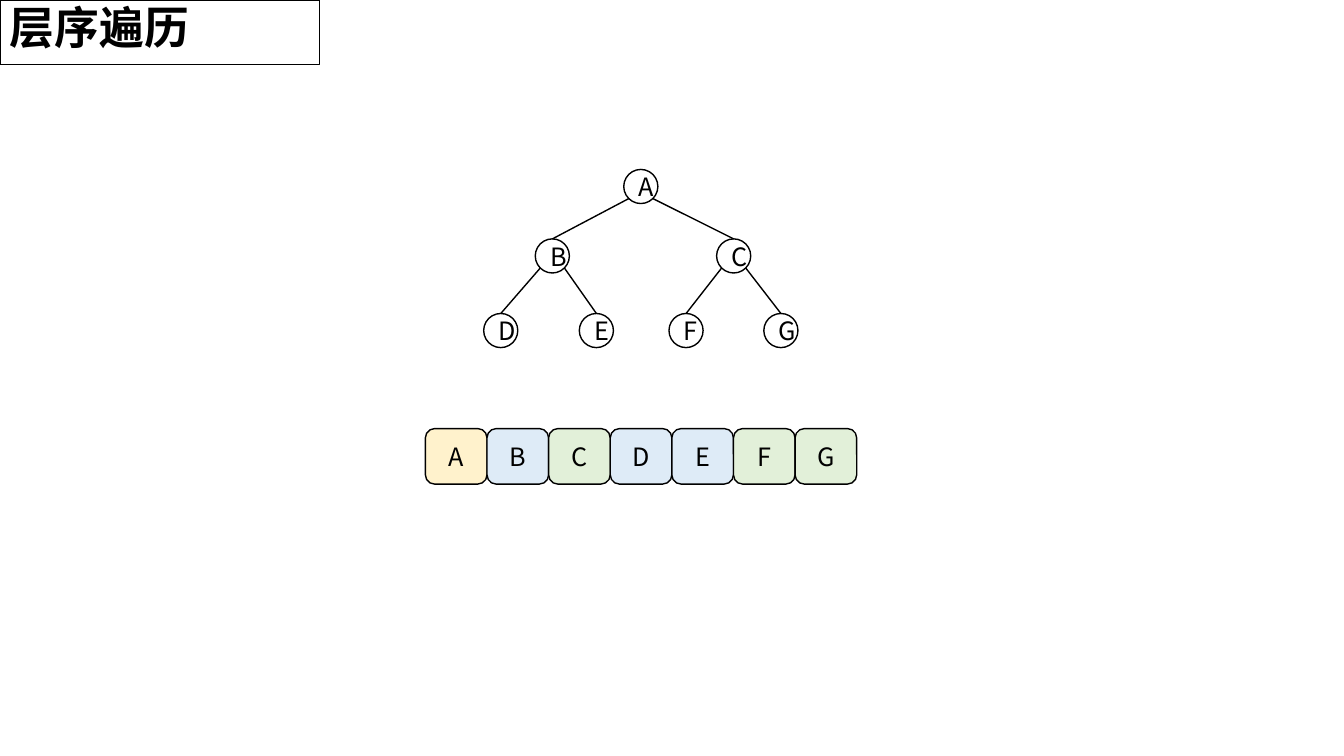
from dataclasses import dataclass

from lxml import etree
from pptx import Presentation
from pptx import util as u
from pptx.dml.color import RGBColor
from pptx.enum import shapes, text
from pptx.oxml.ns import qn


@dataclass(frozen=True)
class Theme:
    font: str = "Noto Sans CJK SC"
    title_size: int = 32
    body_size: int = 18
    ink: str = "000000"
    root: str = "FFF2CC"
    left: str = "DEEBF7"
    right: str = "E2F0D9"
    line_width: float = 1


THEME = Theme()

# Name: (left, top, parent), in cm inside the tree's box
NODES = {
    "A": (3.53, 0, None),
    "B": (1.3, 1.75, "A"),
    "C": (5.87, 1.75, "A"),
    "D": (0, 3.63, "B"),
    "E": (2.41, 3.63, "B"),
    "F": (4.67, 3.63, "C"),
    "G": (7.06, 3.63, "C"),
}
NODE_SIZE = 0.86


def set_line(s):
    s.line.color.rgb = RGBColor.from_string(THEME.ink)
    s.line.width = u.Pt(THEME.line_width)


def write(s, words, size=THEME.body_size, bold=False,
          align=text.PP_ALIGN.CENTER, anchor=text.MSO_ANCHOR.MIDDLE):
    tf = s.text_frame
    tf.word_wrap = True
    tf.vertical_anchor = anchor
    p = tf.paragraphs[0]
    p.alignment = align
    r = p.add_run()
    r.text = words
    r.font.name = THEME.font
    r.font.size = u.Pt(size)
    r.font.bold = bold
    r.font.color.rgb = RGBColor.from_string(THEME.ink)
    etree.SubElement(r.font._element, qn("a:ea"), typeface=THEME.font)
    return tf


def add_box(slide, kind, left, top, width, height, fill=None):
    s = slide.shapes.add_shape(kind, u.Cm(left), u.Cm(top), u.Cm(width), u.Cm(height))
    s.shadow.inherit = False
    if fill:
        s.fill.solid()
        s.fill.fore_color.rgb = RGBColor.from_string(fill)
    else:
        s.fill.background()
    set_line(s)
    return s


def add_title(slide, left, top, width, height):
    s = add_box(slide, shapes.MSO_SHAPE.RECTANGLE, left, top, width, height)
    tf = write(s, "层序遍历", size=THEME.title_size, bold=True,
               align=text.PP_ALIGN.LEFT, anchor=text.MSO_ANCHOR.TOP)
    tf.margin_top = tf.margin_bottom = 0


def add_branch(slide, parent, child):
    # Leave the parent's lower diagonal point, arrive at the child's top
    side = 1 if child.left > parent.left else -1
    reach = parent.width / 2 * 0.5 ** 0.5
    x = int(parent.left + parent.width / 2 + side * reach)
    y = int(parent.top + parent.height / 2 + reach)
    c = slide.shapes.add_connector(shapes.MSO_CONNECTOR.STRAIGHT, x, y, x, y)
    c.end_connect(child, 0)
    set_line(c)
    etree.SubElement(c._element.spPr, qn("a:effectLst"))


def add_tree(slide, left, top):
    circles = {}
    for name, (x, y, _) in NODES.items():
        circles[name] = add_box(slide, shapes.MSO_SHAPE.OVAL, left + x, top + y,
                                NODE_SIZE, NODE_SIZE)
        write(circles[name], name)
    for name, (_, _, parent) in NODES.items():
        if parent:
            add_branch(slide, circles[parent], circles[name])


def add_sequence(slide, left, top, width, height):
    # Each cell takes the colour of the subtree its node belongs to
    fills = {"A": THEME.root, "B": THEME.left, "C": THEME.right}
    cell = width / len(NODES)
    for i, (name, (_, _, parent)) in enumerate(NODES.items()):
        fill = fills.get(name) or fills[parent]
        s = add_box(slide, shapes.MSO_SHAPE.ROUNDED_RECTANGLE,
                    left + i * cell, top, cell, height, fill)
        write(s, name)


def main():
    prs = Presentation()
    prs.slide_width, prs.slide_height = u.Cm(33.87), u.Cm(19.05)
    slide = prs.slides.add_slide(prs.slide_layouts[6])
    add_title(slide, 0, 0, 8.05, 1.63)
    add_tree(slide, 12.19, 4.27)
    add_sequence(slide, 10.72, 10.8, 10.87, 1.4)
    prs.save("out.pptx")


if __name__ == "__main__":
    main()
